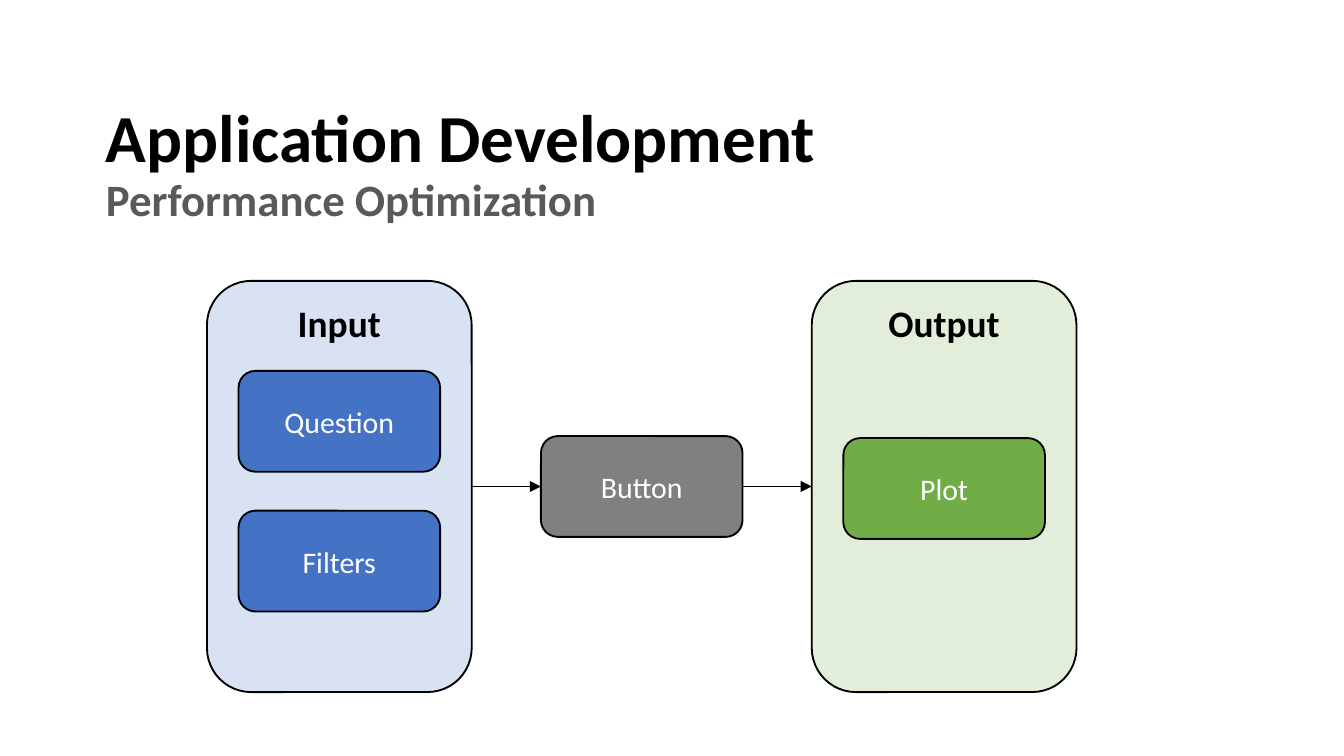
from lxml.etree import SubElement
from pptx import Presentation
from pptx.dml.color import RGBColor
from pptx.enum.shapes import MSO_CONNECTOR, MSO_SHAPE
from pptx.enum.text import MSO_ANCHOR, PP_ALIGN
from pptx.oxml.ns import qn
from pptx.util import Pt

PX = 4572
BLACK, GREY, WHITE = "000000", "595959", "FFFFFF"
BLUE, GREEN, BUTTON_GREY = "4472C4", "70AD47", "808080"
STEP_WIDTH, STEP_HEIGHT = 300, 150


def px(*lengths):
    """Turn px lengths into EMU."""
    return [length * PX for length in lengths]


def paint(target, color):
    """Give a fill or font a solid hex colour."""
    if hasattr(target, "solid"):
        target.solid()
        target.fore_color.rgb = RGBColor.from_string(color)
    else:
        target.color.rgb = RGBColor.from_string(color)


def write(frame, text, size, color, bold=False, align=PP_ALIGN.LEFT, spacing=None):
    """Write one paragraph of one run into a text frame."""
    frame.word_wrap = True
    para = frame.paragraphs[0]
    para.alignment = align
    para.line_spacing = spacing
    span = para.add_run()
    span.text = text
    span.font.name = "Calibri"
    span.font.size = Pt(size)
    span.font.bold = bold
    paint(span.font, color)


def add_heading(page, left, top, width, height, text, size, color):
    """Place a bold heading line."""
    box = page.shapes.add_textbox(*px(left, top, width, height))
    write(box.text_frame, text, size, color, bold=True, spacing=0.9)


def add_rounded(page, left, top, width, height, color):
    """Place an outlined rounded rectangle."""
    box = page.shapes.add_shape(MSO_SHAPE.ROUNDED_RECTANGLE, *px(left, top, width, height))
    box.shadow.inherit = False
    paint(box.fill, color)
    paint(box.line.fill, BLACK)
    box.line.width = Pt(1)
    return box


def add_step(page, left, top, text, color):
    """Place a small labelled step."""
    box = add_rounded(page, left, top, STEP_WIDTH, STEP_HEIGHT, color)
    box.text_frame.vertical_anchor = MSO_ANCHOR.MIDDLE
    write(box.text_frame, text, 16, WHITE, align=PP_ALIGN.CENTER)


def add_panel(page, left, top, width, height, title, color, steps):
    """Place a tinted panel with its title and steps given as (offset, text)."""
    box = add_rounded(page, left, top, width, height, color)
    tint = box._element.spPr.find(qn("a:solidFill"))[0]
    SubElement(tint, qn("a:alpha"), val="20000")
    box.text_frame.vertical_anchor = MSO_ANCHOR.TOP
    write(box.text_frame, title, 20, BLACK, bold=True, align=PP_ALIGN.CENTER)
    for offset, text in steps:
        add_step(page, left + (width - STEP_WIDTH) // 2, top + offset, text, color)


def add_arrow(page, start, end, middle):
    """Draw a thin horizontal arrow."""
    arrow = page.shapes.add_connector(MSO_CONNECTOR.STRAIGHT, *px(start, middle, end, middle))
    paint(arrow.line.fill, BLACK)
    arrow.line.width = Pt(0.5)
    line = arrow._element.spPr.find(qn("a:ln"))
    SubElement(line, qn("a:tailEnd"), type="triangle")
    SubElement(arrow._element.spPr, qn("a:effectLst"))


def add_flow(page, left, top, width, height):
    """Place the input panel, button and output panel, joined by arrows."""
    panel_width = 394
    output_left = left + width - panel_width
    button_left = left + (width - STEP_WIDTH) // 2
    middle = top + height // 2
    add_panel(page, output_left, top, panel_width, height, "Output", GREEN, [(234, "Plot")])
    add_panel(page, left, top, panel_width, height, "Input", BLUE,
              [(134, "Question"), (342, "Filters")])
    add_step(page, button_left, middle - STEP_HEIGHT // 2, "Button", BUTTON_GREY)
    add_arrow(page, left + panel_width, button_left, middle)
    add_arrow(page, button_left + STEP_WIDTH, output_left, middle)


def main():
    """Build and save the deck."""
    deck = Presentation()
    deck.slide_width, deck.slide_height = px(2000, 1125)
    page = deck.slides.add_slide(deck.slide_layouts[6])
    add_heading(page, 138, 146, 1724, 148, "Application Development", 36, BLACK)
    add_heading(page, 138, 254, 1724, 98, "Performance Optimization", 24, GREY)
    add_flow(page, 308, 418, 1294, 612)
    deck.save("out.pptx")


if __name__ == "__main__":
    main()
